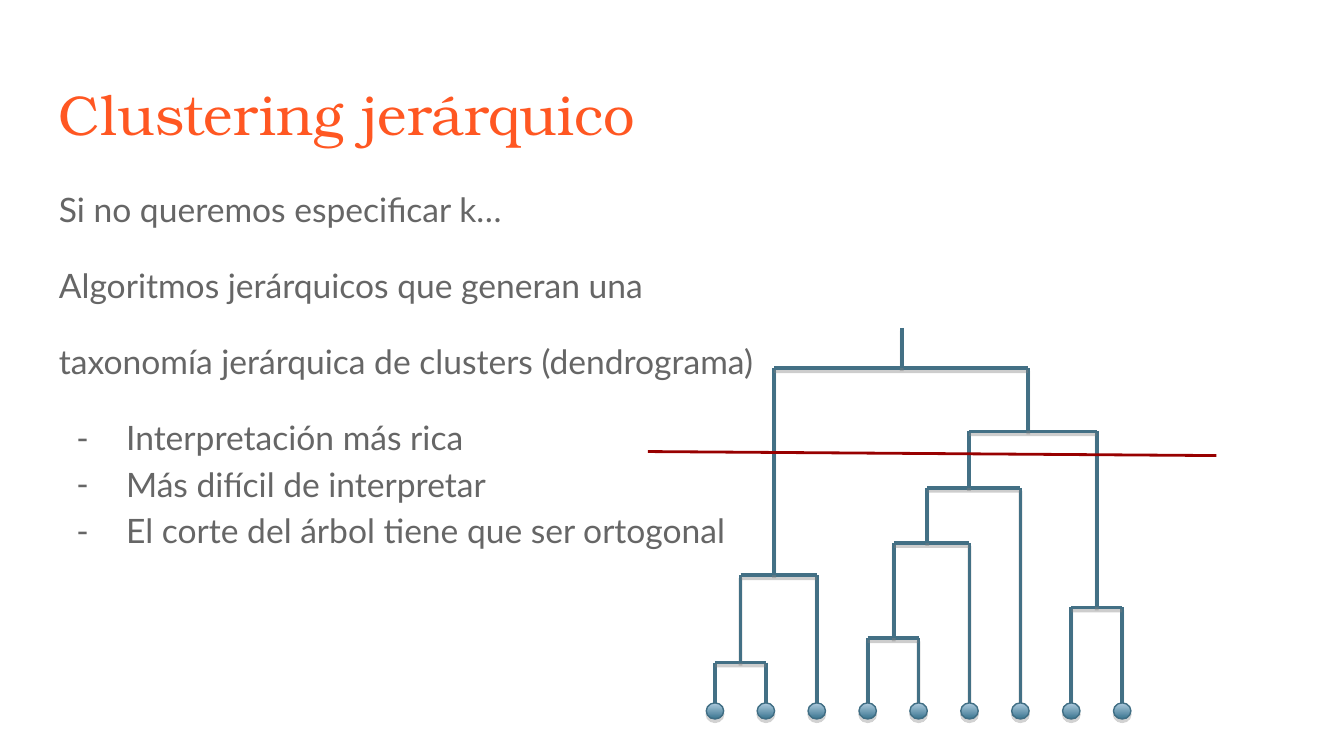
import pptx
import pptx.util
import pptx.dml.color
import pptx.enum.shapes
import pptx.oxml
import pptx.oxml.ns

Inches = pptx.util.Inches
Pt = pptx.util.Pt
RGBColor = pptx.dml.color.RGBColor

ORANGE = RGBColor(0xFF, 0x57, 0x22)
GRAY = RGBColor(0x66, 0x66, 0x66)
BRANCH_BLUE = RGBColor(0x43, 0x70, 0x85)
LEAF_TOP = RGBColor(0xAF, 0xCC, 0xDF)
LEAF_BOTTOM = RGBColor(0x39, 0x74, 0x8F)
LEAF_LINE = RGBColor(0x40, 0x6E, 0x84)
CUT_RED = RGBColor(0x98, 0x00, 0x00)
SHADOW_GRAY = RGBColor(0x80, 0x80, 0x80)

SLIDE_WIDTH = 10
SLIDE_HEIGHT = SLIDE_WIDTH * 9 / 16

TITLE = "Clustering jerárquico"
STATEMENTS = [
    "Si no queremos especificar k…",
    "Algoritmos jerárquicos que generan una",
    "taxonomía jerárquica de clusters (dendrograma)",
]
BULLETS = [
    "Interpretación más rica",
    "Más difícil de interpretar",
    "El corte del árbol tiene que ser ortogonal",
]

LEAF_COUNT = 9
FIRST_LEAF_X, LAST_LEAF_X, LEAF_TOP_Y = 5.32, 8.35, 5.23
LEAF_WIDTH, LEAF_HEIGHT = 0.13, 0.12
ROOT_TOP = 2.44
# Each merge: name, left child, right child, height of its bar, x of its stem.
# Leaves are numbered from the left; children come before their parents.
MERGES = [
    ("A", 0, 1, 4.93, 5.51),
    ("B", "A", 2, 4.28, 5.76),
    ("C", 3, 4, 4.75, 6.65),
    ("D", "C", 5, 4.04, 6.9),
    ("E", "D", 6, 3.63, 7.21),
    ("F", 7, 8, 4.52, 8.16),
    ("G", "E", "F", 3.21, 7.65),
    ("root", "B", "G", 2.74, 6.71),
]
CUT_START, CUT_END = (4.82, 3.36), (9.05, 3.39)


def set_shadow(shape, opacity=0, distance=0):
    """Give a shape a downward shadow, or none when opacity is zero."""
    namespace = pptx.oxml.ns.nsdecls("a")
    shadow = (
        f'<a:outerShdw dist="{Pt(distance)}" dir="5400000" rotWithShape="0">'
        f'<a:srgbClr val="{SHADOW_GRAY}"><a:alpha val="{opacity * 1000}"/></a:srgbClr>'
        "</a:outerShdw>" if opacity else ""
    )
    properties = shape._element.spPr
    properties.append(pptx.oxml.parse_xml(f"<a:effectLst {namespace}>{shadow}</a:effectLst>"))


def add_line(slide, start, end, color, width, opacity=0, distance=0):
    points = [Inches(value) for value in (*start, *end)]
    line = slide.shapes.add_connector(pptx.enum.shapes.MSO_CONNECTOR.STRAIGHT, *points)
    line.line.color.rgb = color
    line.line.width = Pt(width)
    set_shadow(line, opacity, distance)


def add_branch(slide, start, end):
    add_line(slide, start, end, BRANCH_BLUE, 2, 38, 1.6)


def add_leaf(slide, x):
    leaf = slide.shapes.add_shape(
        pptx.enum.shapes.MSO_SHAPE.OVAL,
        Inches(x - LEAF_WIDTH / 2), Inches(LEAF_TOP_Y),
        Inches(LEAF_WIDTH), Inches(LEAF_HEIGHT),
    )
    leaf.fill.gradient()
    leaf.fill.gradient_angle = 270
    for stop, color, position in zip(leaf.fill.gradient_stops, (LEAF_TOP, LEAF_BOTTOM), (0, 1)):
        stop.color.rgb = color
        stop.position = position
    leaf.line.color.rgb = LEAF_LINE
    leaf.line.width = Pt(0.75)
    set_shadow(leaf, 35, 1.8)


def add_dendrogram(slide):
    leaf_step = (LAST_LEAF_X - FIRST_LEAF_X) / (LEAF_COUNT - 1)
    leaf_xs = [FIRST_LEAF_X + leaf_step * index for index in range(LEAF_COUNT)]
    tops = {index: (x, LEAF_TOP_Y) for index, x in enumerate(leaf_xs)}
    for name, left, right, bar_y, stem_x in MERGES:
        for child in (left, right):
            add_branch(slide, (tops[child][0], bar_y), tops[child])
        add_branch(slide, (tops[left][0], bar_y), (tops[right][0], bar_y))
        tops[name] = (stem_x, bar_y)
    add_branch(slide, (tops["root"][0], ROOT_TOP), tops["root"])
    for x in leaf_xs:
        add_leaf(slide, x)


def add_text(slide, top, height, lines):
    box = slide.shapes.add_textbox(Inches(0.34), Inches(top), Inches(9.32), Inches(height))
    frame = box.text_frame
    frame.word_wrap = True
    frame.margin_left = frame.margin_right = Inches(0.1)
    frame.margin_top = frame.margin_bottom = Inches(0.1)
    frame.text = "\n".join(lines)
    return frame.paragraphs


def add_bullet(paragraph):
    properties = paragraph._p.get_or_add_pPr()
    properties.set("marL", str(Inches(0.5)))
    properties.set("indent", str(Inches(-0.37)))
    namespace = pptx.oxml.ns.nsdecls("a")
    for xml in (
        f'<a:buClr {namespace}><a:srgbClr val="{GRAY}"/></a:buClr>',
        f'<a:buFont {namespace} typeface="Lato"/>',
        f'<a:buChar {namespace} char="-"/>',
    ):
        properties.append(pptx.oxml.parse_xml(xml))


def format_runs(paragraph, font_name, size, color):
    for run in paragraph.runs:
        run.font.name = font_name
        run.font.size = Pt(size)
        run.font.color.rgb = color


presentation = pptx.Presentation()
presentation.slide_width = Inches(SLIDE_WIDTH)
presentation.slide_height = Inches(SLIDE_HEIGHT)
slide = presentation.slides.add_slide(presentation.slide_layouts[6])

for paragraph in add_text(slide, 0.49, 0.63, [TITLE]):
    format_runs(paragraph, "TeX Gyre Bonum", 30, ORANGE)

for index, paragraph in enumerate(add_text(slide, 1.26, 3.74, STATEMENTS + BULLETS)):
    if index >= len(STATEMENTS):
        add_bullet(paragraph)
    paragraph.line_spacing = 1.15
    if 0 < index <= len(STATEMENTS):
        paragraph.space_before = Pt(16)
    format_runs(paragraph, "Lato", 18, GRAY)

add_dendrogram(slide)
add_line(slide, CUT_START, CUT_END, CUT_RED, 1.5)

presentation.save("out.pptx")
